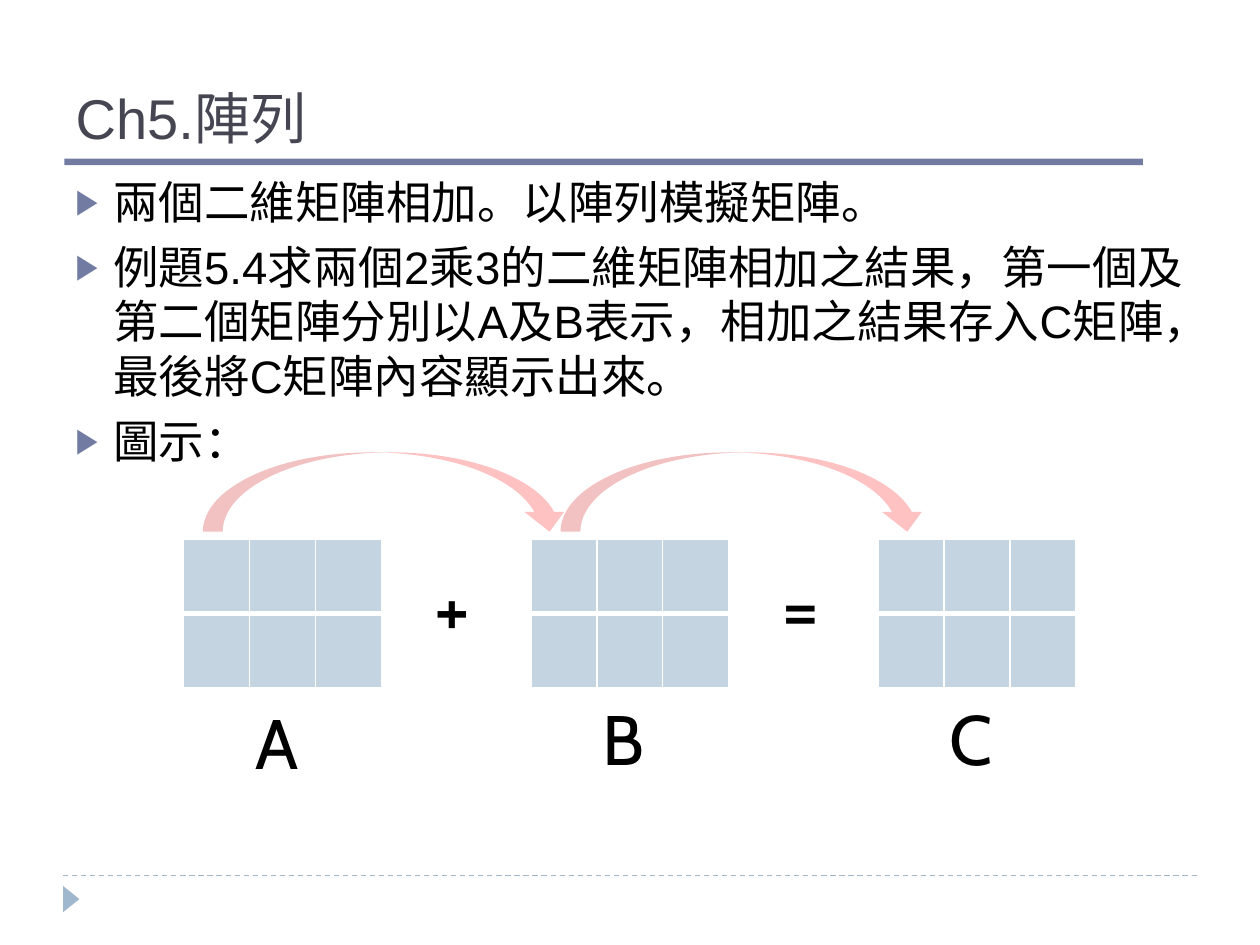
from lxml.etree import SubElement
from pptx import Presentation
from pptx.dml.color import RGBColor
from pptx.enum.dml import MSO_LINE
from pptx.enum.shapes import MSO_CONNECTOR, MSO_SHAPE
from pptx.enum.text import MSO_ANCHOR, MSO_AUTO_SIZE, PP_ALIGN
from pptx.oxml.ns import qn
from pptx.util import Cm, Pt

TITLE = "Ch5.陣列"
BULLETS = [
    "兩個二維矩陣相加。以陣列模擬矩陣。",
    "例題5.4求兩個2乘3的二維矩陣相加之結果，第一個及第二個矩陣分別以A及B表示，"
    "相加之結果存入C矩陣，最後將C矩陣內容顯示出來。",
    "圖示：",
]
MATRICES = [("A", 13.97), ("B", 13.89), ("C", 13.89)]  # name, top of its label
OPERATORS = ["+", "="]

THEME = {
    "body_font": "Arial", "label_font": "Cabin",
    "title_size": 32, "body_size": 26, "operator_size": 44, "label_size": 40,
    "title": "464653", "text": "000000", "accent": "727CA3", "footer": "9FB8CD",
    "cell": "C5D4E1", "grid": "FFFFFF", "arrow": "FF0000",
}

# Centimetres
ROWS, COLUMNS = 2, 3
CELL_WIDTH, CELL_HEIGHT = 1.33, 1.5
MATRIX_LEFT, MATRIX_TOP, MATRIX_STEP = 3.7, 10.87, 7
LABEL_WIDTH = 1.6
ARROW_LEFT, ARROW_STEP = 4.09, 7.21


def rgb(name):
    return RGBColor.from_string(THEME[name])


def box(left, top, width, height):
    return Cm(left), Cm(top), Cm(width), Cm(height)


def write(frame, paragraphs, font, size, color="text", anchor=MSO_ANCHOR.TOP, before=0):
    frame.word_wrap = True
    frame.auto_size = MSO_AUTO_SIZE.NONE
    frame.vertical_anchor = anchor
    for index, text in enumerate(paragraphs):
        paragraph = frame.add_paragraph() if index else frame.paragraphs[0]
        paragraph.alignment = PP_ALIGN.LEFT
        paragraph.space_before = Pt(before)
        run = paragraph.add_run()
        run.text = text
        run.font.name = THEME[font]
        run.font.size = Pt(THEME[size])
        run.font.color.rgb = rgb(color)


def add_text(slide, place, paragraphs, font, size, **format):
    frame = slide.shapes.add_textbox(*place).text_frame
    write(frame, paragraphs, font, size, **format)
    return frame


def add_bullet(paragraph):
    properties = paragraph._p.get_or_add_pPr()
    properties.set("marL", str(Cm(0.76)))
    properties.set("indent", str(-Cm(0.76)))
    color = SubElement(properties, qn("a:buClr"))
    SubElement(color, qn("a:srgbClr"), val=THEME["accent"])
    SubElement(properties, qn("a:buSzPct"), val="76000")
    SubElement(properties, qn("a:buFont"), typeface=THEME["body_font"])
    SubElement(properties, qn("a:buChar"), char="▶")


def add_shape(slide, kind, place, color, opacity=100):
    shape = slide.shapes.add_shape(kind, *place)
    shape.shadow.inherit = False
    shape.fill.solid()
    shape.fill.fore_color.rgb = rgb(color)
    shape.line.fill.background()
    if opacity < 100:
        fill_color = shape._element.spPr.find(qn("a:solidFill"))[0]
        SubElement(fill_color, qn("a:alpha"), val=str(opacity * 1000))
    return shape


def set_borders(cell, **widths):
    properties = cell._tc.get_or_add_tcPr()
    for side, width in widths.items():
        line = SubElement(properties, qn(f"a:ln{side}"), w=str(Pt(width)))
        fill = SubElement(line, qn("a:solidFill"))
        SubElement(fill, qn("a:srgbClr"), val=THEME["grid"])


def add_matrix(slide, left):
    place = box(left, MATRIX_TOP, COLUMNS * CELL_WIDTH, ROWS * CELL_HEIGHT)
    table = slide.shapes.add_table(ROWS, COLUMNS, *place).table
    for column in table.columns:
        column.width = Cm(CELL_WIDTH)
    for index, row in enumerate(table.rows):
        row.height = Cm(CELL_HEIGHT)
        for cell in row.cells:
            # The line between the two rows is the heavy one
            set_borders(cell, L=1, R=1, T=3 if index else 1, B=1 if index else 3)
            cell.fill.solid()
            cell.fill.fore_color.rgb = rgb("cell")


def add_frame(slide):
    """Draw the title rule, the dashed footer line and the footer triangle."""
    footer = slide.shapes.add_connector(
        MSO_CONNECTOR.STRAIGHT, Cm(1.27), Cm(17.65), Cm(24.13), Cm(17.65))
    footer.line.color.rgb = rgb("footer")
    footer.line.width = Pt(0.75)
    footer.line.dash_style = MSO_LINE.DASH
    SubElement(footer._element.spPr, qn("a:effectLst"))
    marker = add_shape(slide, MSO_SHAPE.ISOSCELES_TRIANGLE,
                       box(1.17, 17.96, 0.53, 0.33), "footer")
    marker.rotation = 90
    add_shape(slide, MSO_SHAPE.RECTANGLE, box(1.3, 3.2, 21.74, 0.13), "accent")


def main():
    presentation = Presentation()
    presentation.slide_width, presentation.slide_height = Cm(25.4), Cm(19.05)
    slide = presentation.slides.add_slide(presentation.slide_layouts[5])
    add_frame(slide)

    title = slide.shapes.title
    title.left, title.top, title.width, title.height = box(1.27, 0.43, 22.86, 2.74)
    write(title.text_frame, [TITLE], "body_font", "title_size",
          color="title", anchor=MSO_ANCHOR.BOTTOM)

    body = add_text(slide, box(1.27, 3.38, 22.86, 13.72), BULLETS,
                    "body_font", "body_size", before=6)
    for paragraph in body.paragraphs:
        add_bullet(paragraph)

    for index, (name, label_top) in enumerate(MATRICES):
        left = MATRIX_LEFT + index * MATRIX_STEP
        add_matrix(slide, left)
        add_text(slide, box(left + 1.2, label_top, LABEL_WIDTH, 1.96), [name],
                 "label_font", "label_size")

    for index, operator in enumerate(OPERATORS):
        left = MATRIX_LEFT + 4.8 + index * MATRIX_STEP
        add_text(slide, box(left, 11.15, LABEL_WIDTH, 2.13), [operator],
                 "label_font", "operator_size")
        add_shape(slide, MSO_SHAPE.CURVED_DOWN_ARROW,
                  box(ARROW_LEFT + index * ARROW_STEP, 9.12, 7.39, 1.6),
                  "arrow", opacity=24)

    presentation.save("out.pptx")


if __name__ == "__main__":
    main()
